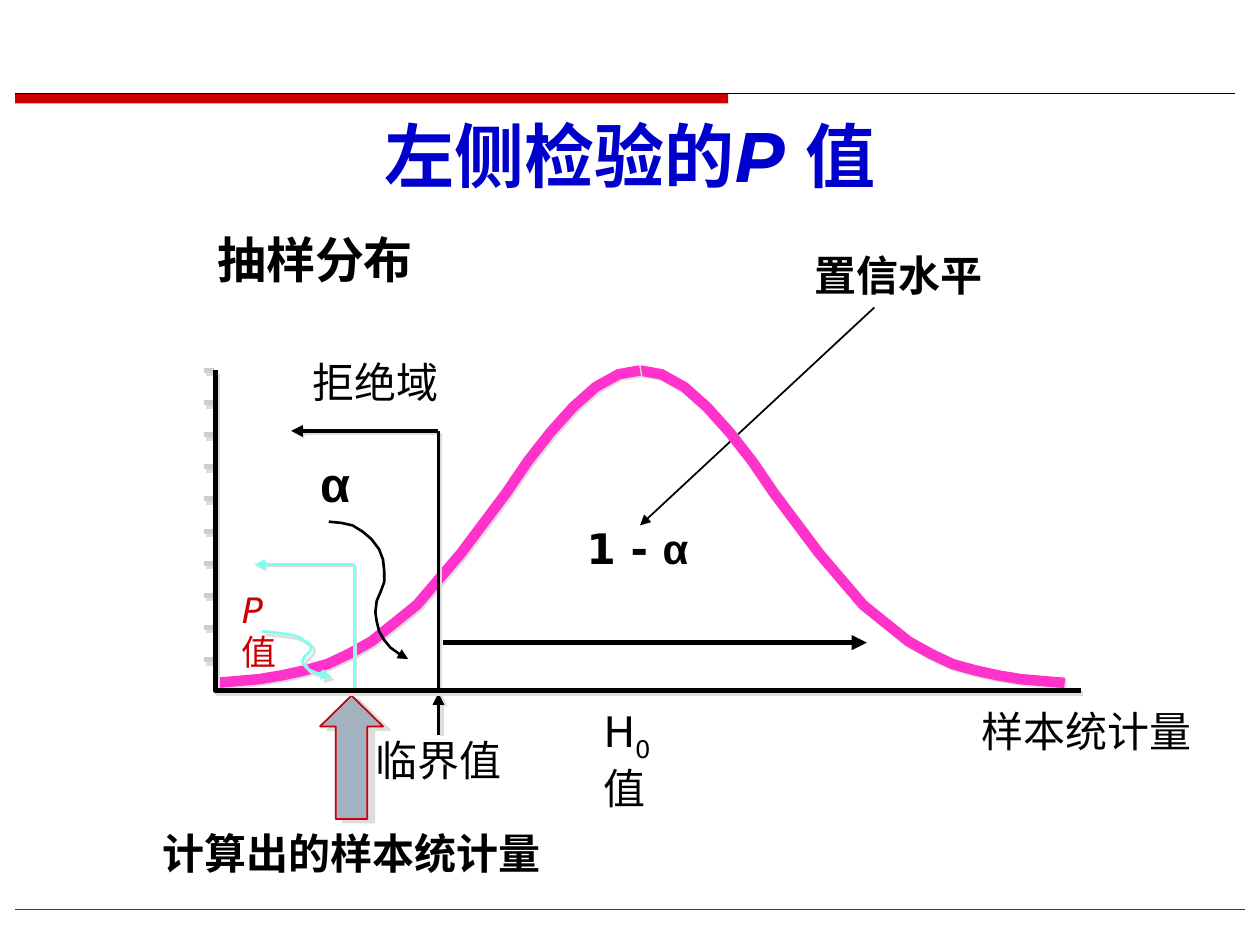
import pptx
import pptx.util
import pptx.dml.color
import pptx.enum.shapes
import pptx.enum.text
import pptx.oxml
import pptx.oxml.ns

RGB = pptx.dml.color.RGBColor
BLACK = RGB(0x00, 0x00, 0x00)
RED = RGB(0xCC, 0x00, 0x00)
BLUE = RGB(0x00, 0x00, 0xCC)
PINK = RGB(0xFF, 0x33, 0xCC)
CYAN = RGB(0x7B, 0xFF, 0xF2)
TICK_GREY = RGB(0xCD, 0xCD, 0xCD)
ARROW_GREY = RGB(0xA3, 0xB2, 0xC1)
LEFT = pptx.enum.text.PP_ALIGN.LEFT
CENTER = pptx.enum.text.PP_ALIGN.CENTER
SHAPE = pptx.enum.shapes.MSO_SHAPE
NS = pptx.oxml.ns.nsdecls("a")

deck = pptx.Presentation()
deck.slide_width = pptx.util.Inches(10)
deck.slide_height = pptx.util.Inches(7.5)
slide = deck.slides.add_slide(deck.slide_layouts[6])
shapes = slide.shapes

# Grid of 100 columns and 75 rows
COL = deck.slide_width / 100
ROW = deck.slide_height / 75


def stroke(points, color, width, arrow=False, shadow=None):
    """Draw a straight line or an open polyline; shadow is (points, degrees)."""
    cells = [(round(x * COL), round(y * ROW)) for x, y in points]
    if len(cells) == 2:
        shape = shapes.add_connector(
            pptx.enum.shapes.MSO_CONNECTOR.STRAIGHT, *cells[0], *cells[1])
    else:
        builder = shapes.build_freeform(*cells[0], scale=1.0)
        builder.add_line_segments(cells[1:], close=False)
        shape = builder.convert_to_shape()
        shape.fill.background()
    shape.line.color.rgb = color
    shape.line.width = pptx.util.Pt(width)
    if arrow:
        shape.line._get_or_add_ln().append(
            pptx.oxml.parse_xml(f'<a:tailEnd {NS} type="triangle"/>'))
    add_shadow(shape._element.spPr, shadow)


def add_shadow(properties, shadow, color="DDDDDD"):
    """Append an effect list, empty when there is no shadow."""
    effect = ""
    if shadow:
        distance, angle = shadow
        effect = (f'<a:outerShdw dist="{round(distance * 12700)}" dir="{angle * 60000}" '
                  f'algn="ctr" rotWithShape="0"><a:srgbClr val="{color}"/></a:outerShdw>')
    properties.append(pptx.oxml.parse_xml(f"<a:effectLst {NS}>{effect}</a:effectLst>"))


# Header bar and rules
bar = shapes.add_shape(SHAPE.RECTANGLE, round(1.2 * COL), round(7.4 * ROW),
                       round(56.6 * COL), round(0.8 * ROW))
bar.shadow.inherit = False
bar.fill.solid()
bar.fill.fore_color.rgb = RED
bar.line.fill.background()
stroke([(1.2, 7.4), (98, 7.4)], BLACK, 0.75)
stroke([(1.2, 72.2), (98.8, 72.2)], RED, 0.25)

# Labels: left, top, width, height, alignment, padded, wrapped, size, bold,
# colour, shadowed, runs of (text, font, italic, subscript)
SANS = "DejaVu Sans"
labels = [
    (7.5, 3.6, 85, 12.5, CENTER, True, True, 40, True, BLUE, False,
     [("左侧检验的", "Montserrat", False, False), ("P ", "Montserrat", True, False),
      ("值", "Montserrat", False, False)]),
    (47.9, 5.6 * 10, 5, 8, LEFT, False, True, 24, False, BLACK, True,
     [("H", SANS, False, False), ("0", SANS, False, True), ("值", SANS, False, False)]),
    (29.8, 58.3, 10, 4, LEFT, False, False, 24, False, BLACK, True,
     [("临界值", SANS, False, False)]),
    (25.4, 36, 2.5, 4.7, LEFT, False, False, 28, True, BLACK, False,
     [("α", "Arial", False, False)]),
    (77.9, 56, 16.7, 4, LEFT, False, False, 24, False, BLACK, True,
     [("样本统计量", SANS, False, False)]),
    (24.8, 28.3, 10, 4, LEFT, False, False, 24, False, BLACK, True,
     [("拒绝域", SANS, False, False)]),
    (10.4, 17.7, 29.2, 5.6, CENTER, True, True, 28, True, BLACK, False,
     [("抽样分布", SANS, False, False)]),
    (42.2, 41, 16.8, 5, CENTER, True, True, 24, True, BLACK, False,
     [("1 - ", SANS, False, False), ("α", "Arial", False, False)]),
    (63.7, 19.3, 22.6, 5, LEFT, True, True, 24, True, BLACK, False,
     [("置信水平", SANS, False, False)]),
    (10.4, 65.2, 35, 5, CENTER, True, True, 24, True, BLACK, True,
     [("计算出的样本统计量", SANS, False, False)]),
    (19.2, 46.7, 4, 6.6, LEFT, False, True, 20, False, RED, True,
     [("P ", SANS, True, False), ("值", SANS, False, False)]),
]
for (left, top, width, height, align, padded, wrapped, size, bold,
     color, shadowed, runs) in labels:
    box = shapes.add_textbox(round(left * COL), round(top * ROW),
                             round(width * COL), round(height * ROW))
    frame = box.text_frame
    frame.word_wrap = wrapped
    if size == 40:
        frame.vertical_anchor = pptx.enum.text.MSO_ANCHOR.BOTTOM
    if not padded:
        frame.margin_left = frame.margin_right = 0
        frame.margin_top = frame.margin_bottom = 0
    paragraph = frame.paragraphs[0]
    paragraph.alignment = align
    paragraph.font.size = pptx.util.Pt(size)
    paragraph.font.bold = bold
    paragraph.font.color.rgb = color
    for text, font, italic, subscript in runs:
        run = paragraph.add_run()
        run.text = text
        run.font.size = pptx.util.Pt(size)
        run.font.bold = bold
        run.font.italic = italic
        run.font.color.rgb = color
        if shadowed:
            add_shadow(run.font._element, (2, 45), "808080")
        run.font.name = font
        if subscript:
            run.font._element.set("baseline", "-25000")

# Axis ticks
for tick in range(10):
    y = 29.4 + 2.55 * tick
    stroke([(16.2, y), (17, y)], TICK_GREY, 2.88, shadow=(2.2, 63))

# Acceptance range, critical value and computed statistic
stroke([(35.2, 51), (68.8, 51)], BLACK, 2.88, arrow=True)
stroke([(34.8, 58.3), (34.8, 55)], BLACK, 2.25, arrow=True, shadow=(2.2, 27))
statistic = shapes.add_shape(SHAPE.UP_ARROW, round(25.4 * COL), round(55.2 * ROW),
                             round(5 * COL), round(9.8 * ROW))
statistic.adjustments[0] = 0.5
statistic.adjustments[1] = 0.49
statistic.fill.solid()
statistic.fill.fore_color.rgb = ARROW_GREY
statistic.line.color.rgb = RED
statistic.line.width = pptx.util.Pt(1)
add_shadow(statistic._element.spPr, (4.5, 27))

# P-value boundary and confidence-level pointer
stroke([(28.1, 44.8), (20.2, 44.8)], CYAN, 1.5, arrow=True, shadow=(1.4, 45))
stroke([(69.4, 24.4), (50.8, 41.7)], BLACK, 1, arrow=True)

# Bell curve: the right half mirrors the left about the mean
MEAN = 50.8
left_half = [(17.1, 54.2), (20.6, 53.9), (22.4, 53.6), (24.2, 53.2), (26, 52.7),
             (27.7, 51.9), (29.5, 50.9), (33.1, 48), (36.6, 43.9), (40.2, 39.1),
             (41.9, 36.6), (43.7, 34.3), (45.5, 32.3), (47.3, 30.7), (49.1, 29.7),
             (MEAN, 29.4)]
right_half = [(2 * MEAN - x, y) for x, y in left_half]
for half in (right_half, left_half):
    stroke(half, PINK, 6, shadow=(1.4, 45))

# Curved pointers into the tail areas
p_pointer = [(20.8, 50.1), (21.7, 50.2), (22.5, 50.3), (23.2, 50.4), (23.8, 50.6),
             (24.2, 50.9), (24.6, 51.1), (24.7, 51.4), (24.6, 51.7), (24.3, 52),
             (24.1, 52.2), (24, 52.5), (24.1, 52.7), (24.3, 53), (24.6, 53.2),
             (25.1, 53.4), (25.7, 53.6), (26.3, 53.7)]
alpha_pointer = [(26.1, 41.4), (27.1, 41.5), (28, 41.7), (28.8, 42.2), (29.5, 42.8),
                 (30.1, 43.6), (30.4, 44.4), (30.5, 45.3), (30.5, 46.2), (30.2, 47),
                 (29.9, 47.7), (29.8, 48.6), (29.9, 49.3), (30.1, 50.1), (30.5, 50.8),
                 (31, 51.4), (31.7, 51.9), (32.4, 52.3)]
stroke(p_pointer, CYAN, 1.5, arrow=True, shadow=(2.8, 45))
stroke([(28.1, 44.8), (28.1, 54.8)], CYAN, 1.5, shadow=(1.4, 45))
stroke(alpha_pointer, BLACK, 1.5, arrow=True)

# Rejection boundary and axes
stroke([(34.8, 34.2), (23.1, 34.2)], BLACK, 2.25, arrow=True, shadow=(1.4, 45))
stroke([(34.8, 34.2), (34.8, 55)], BLACK, 2.25, shadow=(1.4, 45))
stroke([(17.1, 29.4), (17.1, 54.8), (85.8, 54.8)], BLACK, 2.88, shadow=(2.2, 63))

deck.save("out.pptx")
